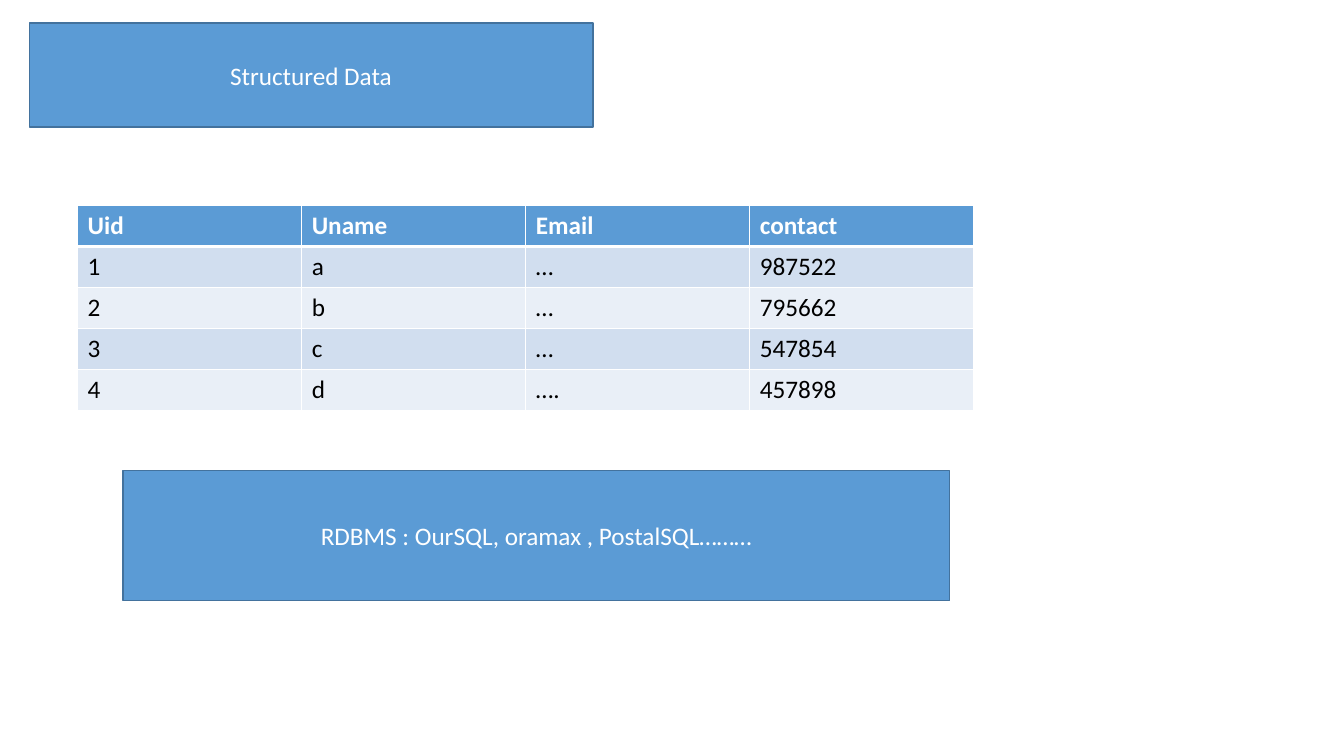
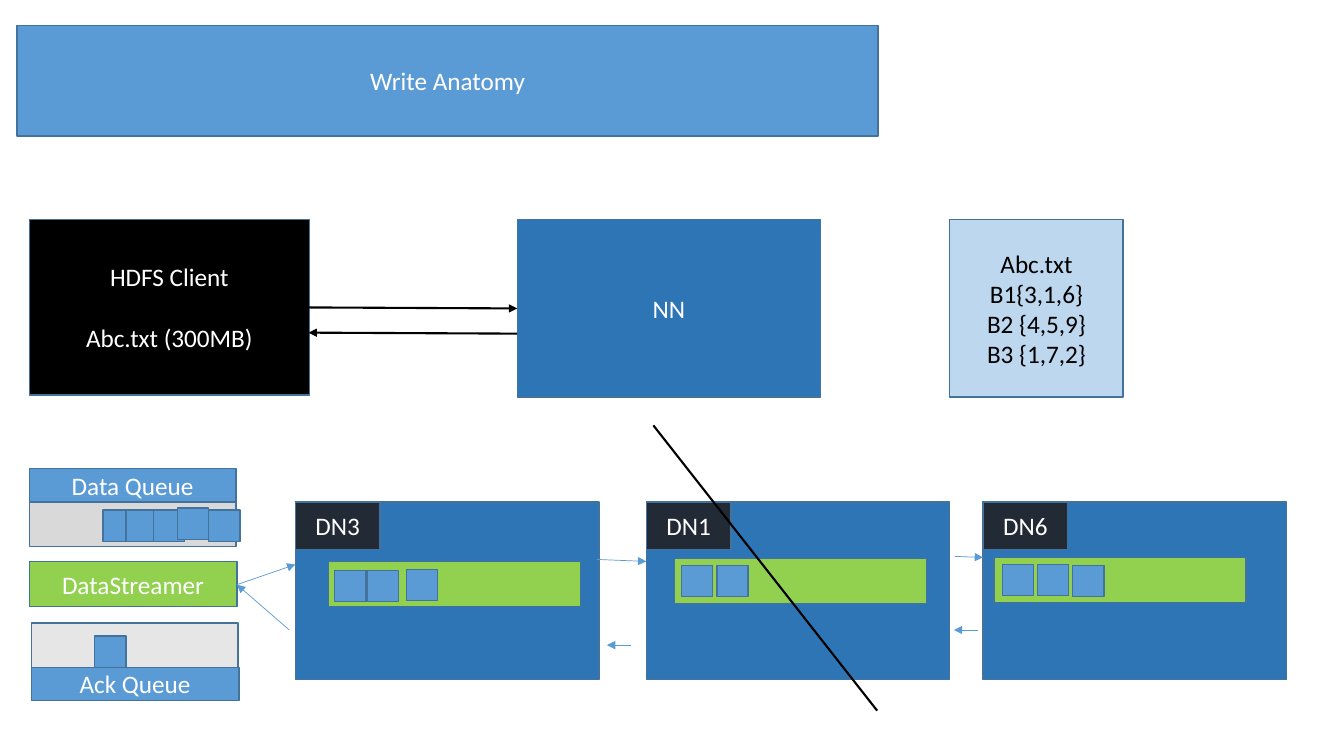
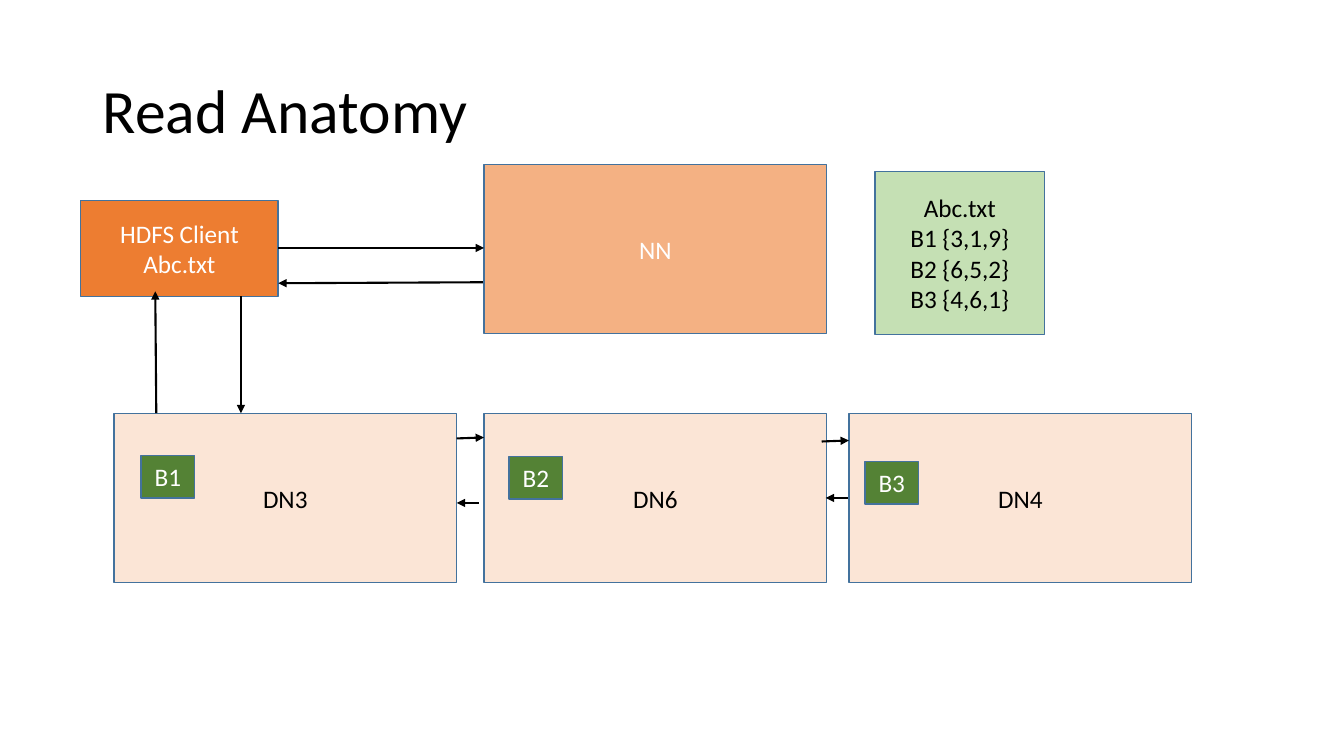
from pptx import Presentation
from pptx.dml.color import RGBColor
from pptx.enum import shapes, text
from pptx.oxml import parse_xml
from pptx.oxml.ns import nsdecls, qn
from pptx.util import Inches, Pt

FONT = "Calibri"
HEX = {
    "blue": "5B9BD5", "edge": "43729D", "deep": "2E75B6", "pale": "BDD7EE",
    "navy": "222A35", "lime": "92D050", "gray": "D9D9D9", "fog": "E7E6E6",
    "odd": "D1DEEF", "even": "E9EFF7", "black": "000000", "white": "FFFFFF",
    "orange": "ED7D31", "peach": "F4B183", "cream": "FBE5D6",
    "mint": "C5E0B4", "green": "548235",
}

# Content: structured data
USERS = [
    ("Uid", "Uname ", "Email", "contact"),
    ("1", "a", "…", "987522"),
    ("2", "b", "…", "795662"),
    ("3", "c", "…", "547854"),
    ("4", "d", "….", "457898"),
]
STORES = "RDBMS : OurSQL, oramax , PostalSQL………"

# Content: write anatomy (boxes are text, left, top, width, height, fill, ink)
WRITE = [
    ("NN", 5.13, 2.18, 3.01, 1.76, "deep", "white"),
    ("Abc.txt\nB1{3,1,6}\nB2 {4,5,9}\nB3 {1,7,2}",
     9.42, 2.18, 1.72, 1.76, "pale", "black"),
    ("DataStreamer", 0.29, 5.57, 2.06, 0.45, "lime", "white"),
    ("", 0.29, 4.98, 2.05, 0.44, "gray", "white"),
    ("", 0.31, 6.18, 2.05, 0.44, "fog", "white"),
    ("Data Queue", 0.29, 4.65, 2.05, 0.33, "blue", "white"),
    ("Ack Queue", 0.31, 6.62, 2.06, 0.33, "blue", "white"),
]
QUEUED = [(1.02, 5.06), (1.25, 5.06), (1.52, 5.06), (1.76, 5.04),
          (2.07, 5.06), (0.94, 6.31)]
# Name, left, buffer corner, packet corners
NODES = [
    ("DN3", 2.93, (3.26, 5.57), [(3.32, 5.66), (3.64, 5.66), (4.03, 5.65)]),
    ("DN1", 6.41, (6.69, 5.54), [(6.76, 5.61), (7.11, 5.61)]),
    ("DN6", 9.75, (9.86, 5.53), [(9.94, 5.6), (10.29, 5.6), (10.64, 5.61)]),
]
CALLS = [(3.06, 3.05, 5.13, 3.06), (5.13, 3.31, 3.06, 3.3)]
FLOWS = [
    (2.35, 5.8, 2.93, 5.6), (5.92, 5.55, 6.41, 5.57), (9.47, 5.52, 9.75, 5.53),
    (9.7, 6.25, 9.46, 6.25), (6.26, 6.4, 6.02, 6.4), (2.87, 6.25, 2.35, 5.8),
]
SLASH = (6.48, 4.22, 8.7, 7.05)

# Content: read anatomy
READ = [
    ("NN", 4.8, 1.63, 3.4, 1.68, "peach", "white"),
    ("HDFS Client\nAbc.txt", 0.8, 1.99, 1.96, 0.95, "orange", "white"),
    ("Abc.txt\nB1 {3,1,9}\nB2 {6,5,2}\nB3 {4,6,1}",
     8.68, 1.7, 1.68, 1.62, "mint", "black"),
]
# Node, left, block, block corner
HOLD = [("DN3", 1.13, "B1", 1.4, 4.52), ("DN6", 4.8, "B2", 5.05, 4.53),
        ("DN4", 8.42, "B3", 8.58, 4.58)]
HOPS = [
    (2.76, 2.46, 4.8, 2.46), (4.79, 2.8, 2.76, 2.81), (2.39, 2.94, 2.39, 4.1),
    (1.55, 4.1, 1.54, 2.89), (4.53, 4.35, 4.8, 4.34), (8.15, 4.38, 8.42, 4.37),
    (8.41, 4.94, 8.19, 4.94), (4.75, 4.99, 4.53, 4.99),
]


# Shared helpers
def rgb(name):
    return RGBColor.from_string(HEX[name])


def style(frame, ink, size=18, align=text.PP_ALIGN.CENTER, bold=False):
    for par in frame.paragraphs:
        par.alignment = align
        for run in par.runs:
            font = run.font
            font.name, font.size, font.bold = FONT, Pt(size), bold
            font.color.rgb = rgb(ink)


def paint(shape, fill):
    shape.fill.solid()
    shape.fill.fore_color.rgb = rgb(fill)
    shape.line.color.rgb = rgb("edge")
    shape.line.width = Pt(1)


def box(slide, words, x, y, w, h, fill, ink="white"):
    shape = slide.shapes.add_shape(
        shapes.MSO_SHAPE.RECTANGLE, Inches(x), Inches(y), Inches(w), Inches(h))
    shape.shadow.inherit = False
    paint(shape, fill)
    if words:
        shape.text_frame.text = words
        style(shape.text_frame, ink)
    return shape


def packet(slide, x, y):
    box(slide, "", x, y, 0.31, 0.31, "blue")


def line(slide, ends, color="black", width=1.5, arrow=True):
    wire = slide.shapes.add_connector(
        shapes.MSO_CONNECTOR.STRAIGHT, *[Inches(n) for n in ends])
    wire.line.color.rgb = rgb(color)
    wire.line.width = Pt(width)
    props = wire.element.spPr
    if arrow:
        props.find(qn("a:ln")).append(
            parse_xml(f'<a:tailEnd {nsdecls("a")} type="triangle"/>'))
    props.append(parse_xml(f'<a:effectLst {nsdecls("a")}/>'))


def start(words, x, y, w, h, band=True):
    slide = deck.slides.add_slide(deck.slide_layouts[5])
    title = slide.shapes.title
    title.left, title.top = Inches(x), Inches(y)
    title.width, title.height = Inches(w), Inches(h)
    frame = title.text_frame
    frame.text = words
    frame.vertical_anchor = text.MSO_ANCHOR.MIDDLE
    if band:
        paint(title, "blue")
        style(frame, "white")
    else:
        style(frame, "black", 44, text.PP_ALIGN.LEFT)
        frame.paragraphs[0].line_spacing = 0.9
    return slide


def rule(cell, sides):
    props = cell._tc.get_or_add_tcPr()
    for i, (side, width) in enumerate(sides):
        props.insert(i, parse_xml(
            f'<a:{side} {nsdecls("a")} w="{Pt(width)}"><a:solidFill>'
            f'<a:srgbClr val="{HEX["white"]}"/></a:solidFill></a:{side}>'))


deck = Presentation()
deck.slide_width, deck.slide_height = Inches(13.33), Inches(7.5)

# Structured data
slide = start("Structured Data", 0.29, 0.23, 5.59, 1.03)
grid = slide.shapes.add_table(
    len(USERS), len(USERS[0]),
    Inches(0.77), Inches(2.04), Inches(8.89), Inches(2.03)).table
grid.horz_banding = False
for r, row in enumerate(USERS):
    head = r == 0
    for c, words in enumerate(row):
        cell = grid.cell(r, c)
        cell.text = words
        style(cell.text_frame, "white" if head else "black",
              align=text.PP_ALIGN.LEFT, bold=head)
        cell.fill.solid()
        cell.fill.fore_color.rgb = rgb(
            "blue" if head else "odd" if r % 2 else "even")
        rule(cell, [("lnL", 1), ("lnR", 1), ("lnT", 3 if r == 1 else 1),
                    ("lnB", 3 if head else 1)])
box(slide, STORES, 1.22, 4.67, 8.2, 1.29, "blue")

# Write anatomy
slide = start("Write Anatomy", 0.17, 0.25, 8.54, 1.1)
client = box(slide, "HDFS Client\nAbc.txt (300MB)",
             0.29, 2.18, 2.78, 1.74, "black")
client.text_frame.paragraphs[1].space_before = Pt(22)
for part in WRITE:
    box(slide, *part)
for spot in QUEUED:
    packet(slide, *spot)
for name, x, buffer, spots in NODES:
    box(slide, "", x, 4.98, 3.01, 1.76, "deep")
    box(slide, name, x, 4.98, 0.84, 0.47, "navy")
    box(slide, "", *buffer, 2.5, 0.45, "lime")
    for spot in spots:
        packet(slide, *spot)
for ends in CALLS:
    line(slide, ends)
for ends in FLOWS:
    line(slide, ends, "blue", 0.5)
line(slide, SLASH, arrow=False)

# Read anatomy
slide = start("Read Anatomy", 0.92, 0.4, 11.5, 1.45, band=False)
for part in READ:
    box(slide, *part)
for name, x, block, left, top in HOLD:
    box(slide, name, x, 4.1, 3.4, 1.68, "cream", "black")
    box(slide, block, left, top, 0.53, 0.42, "green")
for ends in HOPS:
    line(slide, ends)

deck.save("out.pptx")
